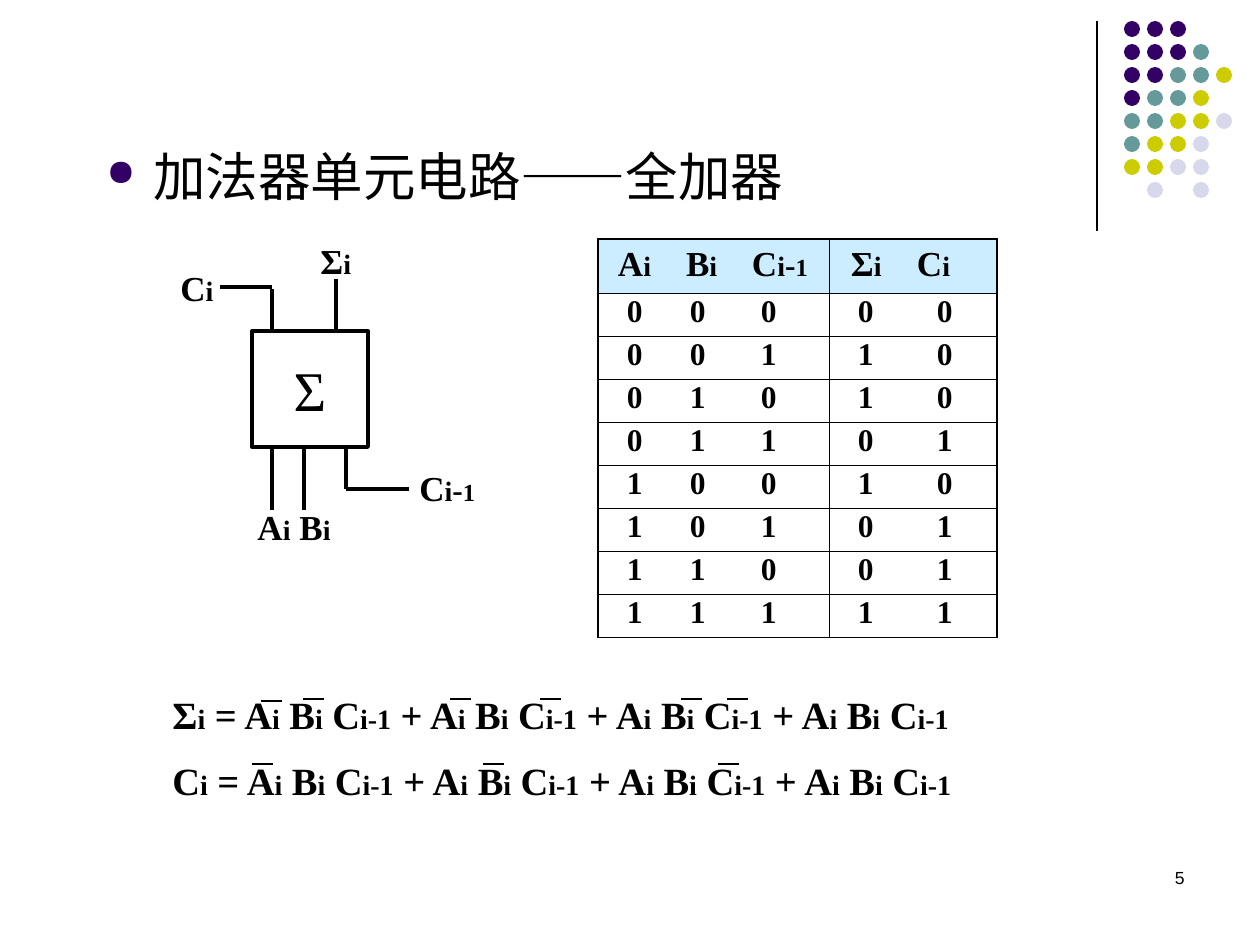
from dataclasses import dataclass
from itertools import cycle

from lxml import etree
from pptx import Presentation
from pptx.dml.color import RGBColor
from pptx.enum.shapes import MSO_CONNECTOR, MSO_SHAPE
from pptx.enum.text import MSO_ANCHOR, PP_ALIGN
from pptx.oxml.ns import qn
from pptx.util import Pt

STRAIGHT = MSO_CONNECTOR.STRAIGHT
OVAL, RECTANGLE = MSO_SHAPE.OVAL, MSO_SHAPE.RECTANGLE
MIDDLE = MSO_ANCHOR.MIDDLE
CENTER, RIGHT = PP_ALIGN.CENTER, PP_ALIGN.RIGHT
PX = 914400 / 126


@dataclass(frozen=True)
class Theme:
    ink: str = "000000"
    header: str = "CCECFF"
    purple: str = "330066"
    teal: str = "669999"
    lime: str = "CCCC00"
    mist: str = "D8D8EC"
    sans: str = "Arial"
    serif: str = "Times New Roman"
    title: int = 30
    symbol: int = 32
    digit: int = 18
    number: int = 10
    label: tuple = (20, 16, 18, 14)
    heading: tuple = (20, 16, 20, 16, 20, 16, 18, 14)
    equation: tuple = (22, 16)
    hairline: float = 0.75
    wire: float = 2.25
    grid: float = 0.45
    frame: float = 1.08


def px(length):
    return round(length * PX)


def color(value):
    return RGBColor.from_string(value)


def apply(target, values):
    for name, value in values.items():
        setattr(target, name, value)


def add_element(parent, tag, **attributes):
    return etree.SubElement(parent, qn(tag), attributes)


class Slide:
    def __init__(self, presentation, theme):
        self.theme = theme
        self.slide = presentation.slides.add_slide(presentation.slide_layouts[6])

    def add_runs(self, paragraph, text, sizes, font=None, bold=True, **layout):
        apply(paragraph, layout)
        for part, size in zip(text.split("|"), cycle(sizes)):
            run = paragraph.add_run()
            run.text = part
            apply(run.font, {"size": Pt(size), "bold": bold, "name": font or self.theme.serif})
            run.font.color.rgb = color(self.theme.ink)

    def text_frame(self, box):
        frame = self.slide.shapes.add_textbox(*map(px, box)).text_frame
        frame.word_wrap = True
        return frame

    def text(self, box, lines, sizes, **style):
        frame = self.text_frame(box)
        for index, line in enumerate(lines):
            paragraph = frame.add_paragraph() if index else frame.paragraphs[0]
            gap = {"space_before": Pt(13.8)} if index else {}
            self.add_runs(paragraph, line, sizes, **style, **gap)

    def bullet(self, box, text):
        paragraph = self.text_frame(box).paragraphs[0]
        properties = paragraph._p.get_or_add_pPr()
        for name, value in {"marL": px(47), "indent": -px(47)}.items():
            properties.set(name, str(value))
        add_element(add_element(properties, "a:buClr"), "a:srgbClr", val=self.theme.purple)
        add_element(properties, "a:buSzPct", val="70000")
        add_element(properties, "a:buChar", char="●")
        self.add_runs(paragraph, text, [self.theme.title], self.theme.sans, False, line_spacing=1.2)

    def line(self, start, end, width):
        connector = self.slide.shapes.add_connector(STRAIGHT, *map(px, start + end))
        connector.line.color.rgb = color(self.theme.ink)
        connector.line.width = Pt(width)
        add_element(connector._element.spPr, "a:effectLst")

    def dot(self, left, top, fill):
        shape = self.slide.shapes.add_shape(OVAL, *map(px, (left, top, 16, 16)))
        shape.shadow.inherit = False
        shape.fill.solid()
        shape.fill.fore_color.rgb = color(fill)
        shape.line.fill.background()

    def block(self, box, text):
        shape = self.slide.shapes.add_shape(RECTANGLE, *map(px, box))
        shape.shadow.inherit = False
        shape.fill.background()
        shape.line.color.rgb = color(self.theme.ink)
        shape.line.width = Pt(self.theme.wire)
        apply(shape.text_frame, {"word_wrap": False, "vertical_anchor": MIDDLE})
        self.add_runs(shape.text_frame.paragraphs[0], text, [self.theme.symbol], bold=False, alignment=CENTER)

    def cell(self, cell, text, sizes, margin, tabs, outer, fill=None, **layout):
        properties = cell._tc.get_or_add_tcPr()
        for side, on_frame in zip("LRTB", outer):
            width = self.theme.frame if on_frame else self.theme.grid
            border = add_element(properties, f"a:ln{side}", w=str(Pt(width)))
            add_element(add_element(border, "a:solidFill"), "a:srgbClr", val=self.theme.ink)
        if fill:
            cell.fill.solid()
            cell.fill.fore_color.rgb = color(fill)
        else:
            cell.fill.background()
        apply(cell, {"margin_left": px(margin), "margin_right": 0})
        paragraph = cell.text_frame.paragraphs[0]
        stops = add_element(paragraph._p.get_or_add_pPr(), "a:tabLst")
        for position in tabs:
            add_element(stops, "a:tab", pos=str(px(position)), algn="l")
        self.add_runs(paragraph, text, sizes, **layout)

    def truth_table(self, box, widths, heights, headings, rows):
        table = self.slide.shapes.add_table(len(heights), len(widths), *map(px, box)).table
        for column, width in zip(table.columns, widths):
            column.width = px(width)
        for row, height in zip(table.rows, heights):
            row.height = px(height)
        last = len(rows)
        for column, (text, margin, tabs) in enumerate(headings):
            outer = (column == 0, column == 1, True, False)
            self.cell(table.cell(0, column), text, self.theme.heading, margin, tabs, outer, self.theme.header)
        for index, row in enumerate(rows, 1):
            for column, (digits, tabs) in enumerate(zip(row, ((63, 134), (79,)))):
                outer = (column == 0, column == 1, False, index == last)
                self.cell(table.cell(index, column), "\t".join(digits), [self.theme.digit],
                          29, tabs, outer, line_spacing=0.8)


def main():
    theme = Theme()
    presentation = Presentation()
    apply(presentation, {"slide_width": px(1260), "slide_height": px(945)})
    page = Slide(presentation, theme)

    page.line((1097, 21), (1097, 231), theme.hairline)
    fills = {"P": theme.purple, "T": theme.teal, "L": theme.lime, "M": theme.mist}
    dots = ("PPP", "PPPT", "PPTTL", "PTTL", "TTLLM", "TLLM", "LLMM", " M M")
    for row, pattern in enumerate(dots):
        for column, key in enumerate(pattern):
            if key in fills:
                page.dot(1124 + 23 * column, 21 + 23 * row, fills[key])

    page.text((903, 861, 294, 63), ["5"], [theme.number], font=theme.sans, bold=False, alignment=RIGHT)
    page.bullet((94, 125, 1040, 630), "加法器单元电路——全加器")

    page.block((252, 331, 116, 116), "Σ")
    wires = (
        ((272, 331), (272, 289)), ((272, 287), (220, 287)), ((336, 331), (336, 279)),
        ((272, 447), (272, 510)), ((304, 447), (304, 510)),
        ((346, 447), (346, 489)), ((346, 489), (409, 489)),
    )
    for start, end in wires:
        page.line(start, end, theme.wire)
    pins = (
        ("C|i", 168, 260, 63), ("Σ|i", 308, 233, 91), ("A|i", 245, 499, 69),
        ("B|i", 287, 499, 69), ("C|i|-|1", 407, 460, 86),
    )
    for text, left, top, width in pins:
        page.text((left, top, width, 55), [text], theme.label)

    sums = " + ".join(["A|i| B|i| C|i-1|"] * 4).rstrip("|")
    page.text((160, 690, 966, 120), [f"{name}|i| = {sums}" for name in "ΣC"],
              theme.equation, line_spacing=0.9)
    overbars = {
        699: (303, 450, 540, 681, 727),
        701: (261,),
        764: (252, 483, 718),
    }
    for top, lefts in overbars.items():
        for left in lefts:
            page.line((left, top), (left + 21, top), theme.hairline)

    headings = (("A|i\t|B|i\t|C|i|-|1", 20, (68, 134)), ("Σ|i\t|C|i", 22, (66,)))
    rows = []
    for value in range(8):
        inputs = f"{value:03b}"
        ones = inputs.count("1")
        rows.append((inputs, f"{ones % 2}{ones // 2}"))
    page.truth_table((598, 239, 399, 398), (231, 168), [54] + [43] * 8, headings, rows)

    presentation.save("out.pptx")


if __name__ == "__main__":
    main()
